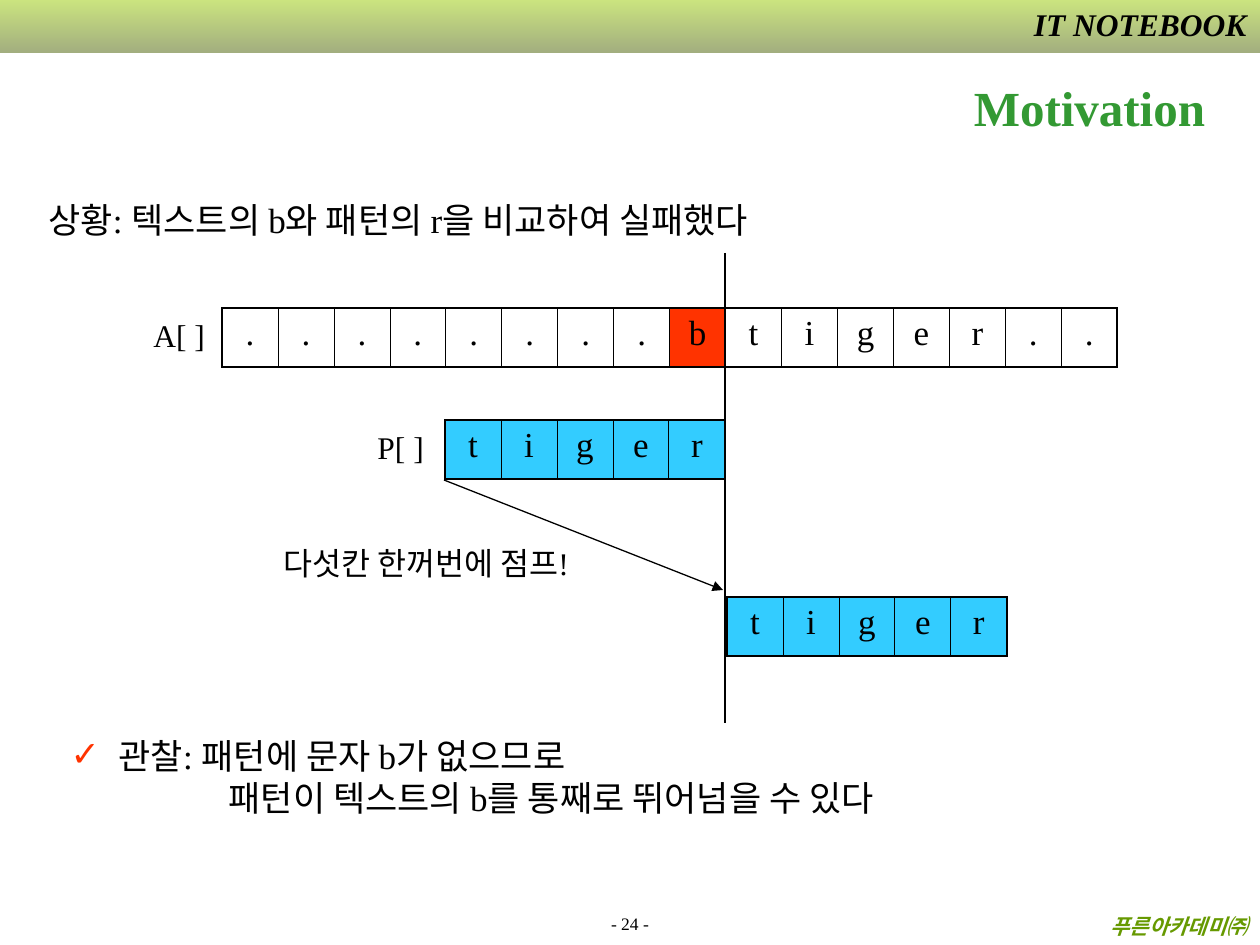
from dataclasses import dataclass

from lxml import etree
from pptx import Presentation
from pptx.dml.color import RGBColor
from pptx.enum.shapes import MSO_CONNECTOR, MSO_SHAPE
from pptx.enum.text import MSO_ANCHOR, MSO_AUTO_SIZE, PP_ALIGN
from pptx.oxml.ns import qn
from pptx.util import Emu, Pt

LEFT, CENTER, RIGHT = PP_ALIGN.LEFT, PP_ALIGN.CENTER, PP_ALIGN.RIGHT
TOP, MIDDLE, BOTTOM = MSO_ANCHOR.TOP, MSO_ANCHOR.MIDDLE, MSO_ANCHOR.BOTTOM
NO_AUTOFIT = MSO_AUTO_SIZE.NONE
RECTANGLE, STRAIGHT = MSO_SHAPE.RECTANGLE, MSO_CONNECTOR.STRAIGHT

BLACK = RGBColor(0x00, 0x00, 0x00)
WHITE = RGBColor(0xFF, 0xFF, 0xFF)
TITLE_GREEN = RGBColor(0x33, 0x99, 0x33)
FOOTER_GREEN = RGBColor(0x66, 0x99, 0x00)
BAND_TOP = RGBColor(0x99, 0xCC, 0x00)
BAND_BOTTOM = RGBColor(0x47, 0x5E, 0x00)
MISMATCH_RED = RGBColor(0xFF, 0x33, 0x00)
PATTERN_BLUE = RGBColor(0x33, 0xCC, 0xFF)

FONT = "Times New Roman"
EMU_PER_PX = 914400 / 126
CELL_WIDTH, CELL_HEIGHT = 56, 59
THICK, THIN = 1.08, 0.45
HANGING = 48
SECOND_LINE_INDENT = 158


@dataclass(frozen=True)
class Area:
    left: int
    top: int
    width: int
    height: int


@dataclass(frozen=True)
class Label:
    text: str
    area: Area
    size: int = 18
    align: PP_ALIGN = LEFT
    anchor: MSO_ANCHOR = TOP
    color: RGBColor = BLACK
    bold: bool = False
    italic: bool = False
    shadow: bool = False
    before: int = 0
    spacing: float = 1.0


@dataclass(frozen=True)
class CharArray:
    chars: str
    left: int
    top: int
    color: RGBColor | None = None
    marked: int = -1


LABELS = [
    Label("- 24 -", Area(0, 912, 1260, 28), size=10, align=CENTER, anchor=BOTTOM),
    Label("푸른아카데미㈜", Area(8, 907, 1252, 38), size=12, align=RIGHT,
          color=FOOTER_GREEN, bold=True, italic=True),
    Label("IT NOTEBOOK", Area(993, -1, 266, 50), align=RIGHT,
          bold=True, italic=True, shadow=True),
    Label("다섯칸 한꺼번에 점프!", Area(271, 538, 340, 50)),
    Label("A[ ]", Area(141, 310, 85, 50)),
    Label("P[ ]", Area(365, 422, 83, 50)),
    Label("상황: 텍스트의 b와 패턴의 r을 비교하여 실패했다", Area(36, 200, 880, 47),
          size=20, before=5, spacing=0.8),
]
ARRAYS = [
    CharArray("........btiger..", 222, 308, marked=8),
    CharArray("tiger", 445, 420, PATTERN_BLUE),
    CharArray("tiger", 727, 597, PATTERN_BLUE),
]
OBSERVATION = ["관찰: 패턴에 문자 b가 없으므로", "패턴이 텍스트의 b를 통째로 뛰어넘을 수 있다"]


def px(length: int) -> Emu:
    return Emu(round(length * EMU_PER_PX))


def place(area: Area) -> tuple[Emu, ...]:
    return px(area.left), px(area.top), px(area.width), px(area.height)


def write(para, text: str, *, size=18, color=BLACK, bold=False, italic=False,
          align=LEFT, before=0, spacing=1.0, shadow=False) -> None:
    para.alignment = align
    para.space_before = Pt(before)
    para.line_spacing = spacing
    span = para.add_run()
    span.text = text
    span.font.name, span.font.size = FONT, Pt(size)
    span.font.bold, span.font.italic = bold, italic
    span.font.color.rgb = color
    if shadow:
        effects = etree.Element(qn("a:effectLst"))
        outer = etree.SubElement(effects, qn("a:outerShdw"), dist="17961", dir="2700000")
        etree.SubElement(outer, qn("a:srgbClr"), val=str(WHITE))
        fill = span.font._element.find(qn("a:solidFill"))
        fill.addnext(effects)


def prepare_frame(box, anchor: MSO_ANCHOR):
    frame = box.text_frame
    frame.word_wrap = True
    frame.auto_size = NO_AUTOFIT
    frame.vertical_anchor = anchor
    return frame


def add_label(page, label: Label) -> None:
    box = page.shapes.add_textbox(*place(label.area))
    frame = prepare_frame(box, label.anchor)
    write(frame.paragraphs[0], label.text, size=label.size, color=label.color,
          bold=label.bold, italic=label.italic, align=label.align,
          before=label.before, spacing=label.spacing, shadow=label.shadow)


def set_borders(cell, widths: dict[str, float]) -> None:
    properties = cell._tc.get_or_add_tcPr()
    for side, width in widths.items():
        line = etree.SubElement(properties, qn(f"a:ln{side}"), w=str(Pt(width)))
        fill = etree.SubElement(line, qn("a:solidFill"))
        etree.SubElement(fill, qn("a:srgbClr"), val=str(BLACK))


def add_array(page, array: CharArray) -> None:
    count = len(array.chars)
    area = Area(array.left, array.top, count * CELL_WIDTH, CELL_HEIGHT)
    table = page.shapes.add_table(1, count, *place(area)).table
    table.first_row = table.horz_banding = False
    for index, char in enumerate(array.chars):
        table.columns[index].width = px(CELL_WIDTH)
        cell = table.cell(0, index)
        set_borders(cell, {"L": THICK if index == 0 else THIN,
                           "R": THICK if index == count - 1 else THIN,
                           "T": THICK, "B": THICK})
        color = MISMATCH_RED if index == array.marked else array.color
        if color is None:
            cell.fill.background()
        else:
            cell.fill.solid()
            cell.fill.fore_color.rgb = color
        write(cell.text_frame.paragraphs[0], char, size=20, align=CENTER, before=5)


def add_line(page, start: tuple[int, int], end: tuple[int, int], arrow=False) -> None:
    line = page.shapes.add_connector(STRAIGHT, *map(px, start + end))
    line.line.color.rgb = BLACK
    line.line.width = Pt(0.75)
    if arrow:
        etree.SubElement(line.line._get_or_add_ln(), qn("a:tailEnd"), type="triangle")
    etree.SubElement(line._element.spPr, qn("a:effectLst"))


def add_header_band(page) -> None:
    band = page.shapes.add_shape(RECTANGLE, *place(Area(0, 0, 1260, 53)))
    band.shadow.inherit = False
    band.line.fill.background()
    band.fill.gradient()
    band.fill.gradient_angle = 270
    for stop, color in zip(band.fill.gradient_stops, (BAND_TOP, BAND_BOTTOM)):
        stop.color.rgb = color
    for color_node in band._element.spPr.iter(qn("a:srgbClr")):
        etree.SubElement(color_node, qn("a:alpha"), val="50000")


def set_bullet(para, left: int, indent: int, mark: str = "") -> None:
    properties = para._p.get_or_add_pPr()
    properties.set("marL", str(px(left)))
    properties.set("indent", str(px(indent)))
    if mark:
        color = etree.SubElement(properties, qn("a:buClr"))
        etree.SubElement(color, qn("a:srgbClr"), val=str(MISMATCH_RED))
        etree.SubElement(properties, qn("a:buChar"), char=mark)
    else:
        etree.SubElement(properties, qn("a:buNone"))


def fill_placeholders(page) -> None:
    title, body = page.shapes.title, page.placeholders[1]
    title.left, title.top, title.width, title.height = place(Area(919, 53, 341, 107))
    write(prepare_frame(title, MIDDLE).paragraphs[0], "Motivation", size=28,
          color=TITLE_GREEN, bold=True, align=CENTER)

    body.left, body.top, body.width, body.height = place(Area(58, 736, 950, 90))
    frame = prepare_frame(body, TOP)
    first, second = frame.paragraphs[0], frame.add_paragraph()
    for para, text in zip((first, second), OBSERVATION):
        write(para, text, size=20, before=5, spacing=0.8)
    set_bullet(first, HANGING, -HANGING, "✓")
    set_bullet(second, SECOND_LINE_INDENT, 0)


def main() -> None:
    deck = Presentation()
    deck.slide_width, deck.slide_height = px(1260), px(945)
    page = deck.slides.add_slide(deck.slide_layouts[1])
    add_header_band(page)
    fill_placeholders(page)
    for array in ARRAYS:
        add_array(page, array)
    for label in LABELS:
        add_label(page, label)
    add_line(page, (444, 480), (723, 590), arrow=True)
    add_line(page, (725, 253), (725, 723))
    deck.save("out.pptx")


if __name__ == "__main__":
    main()
